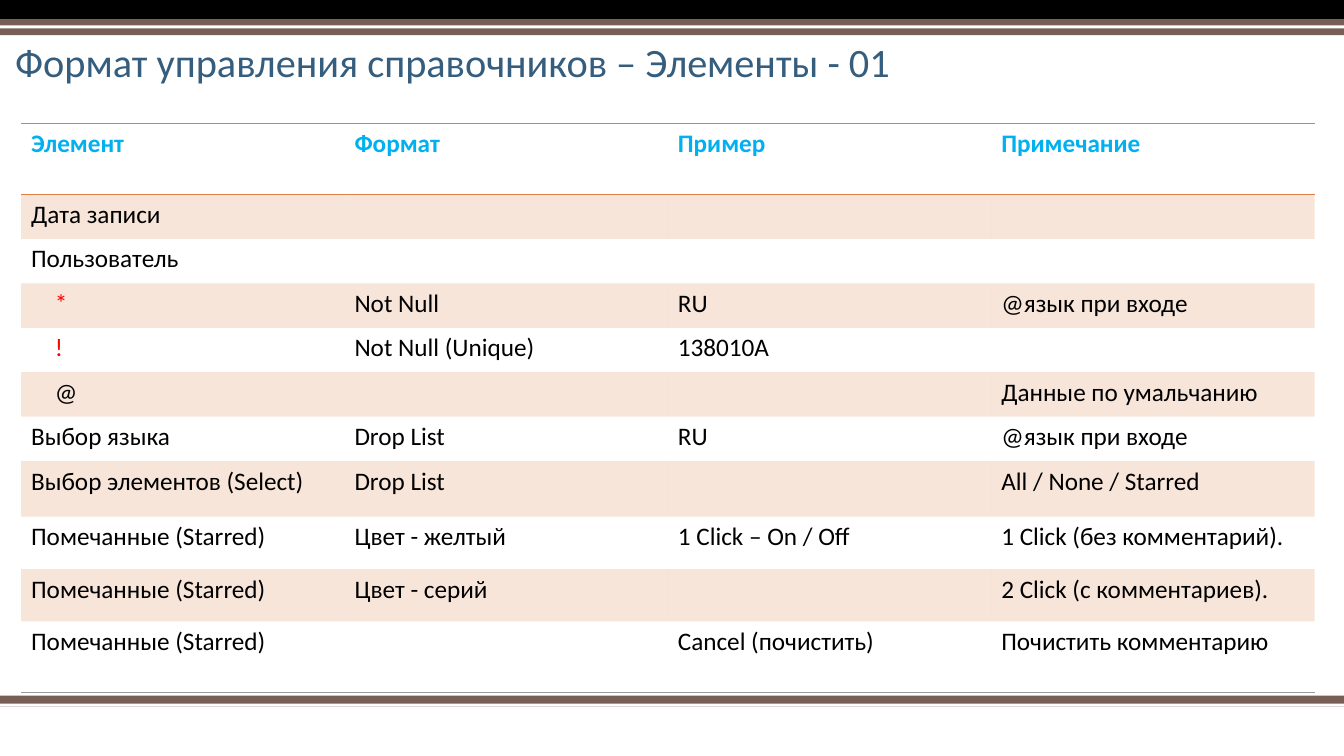
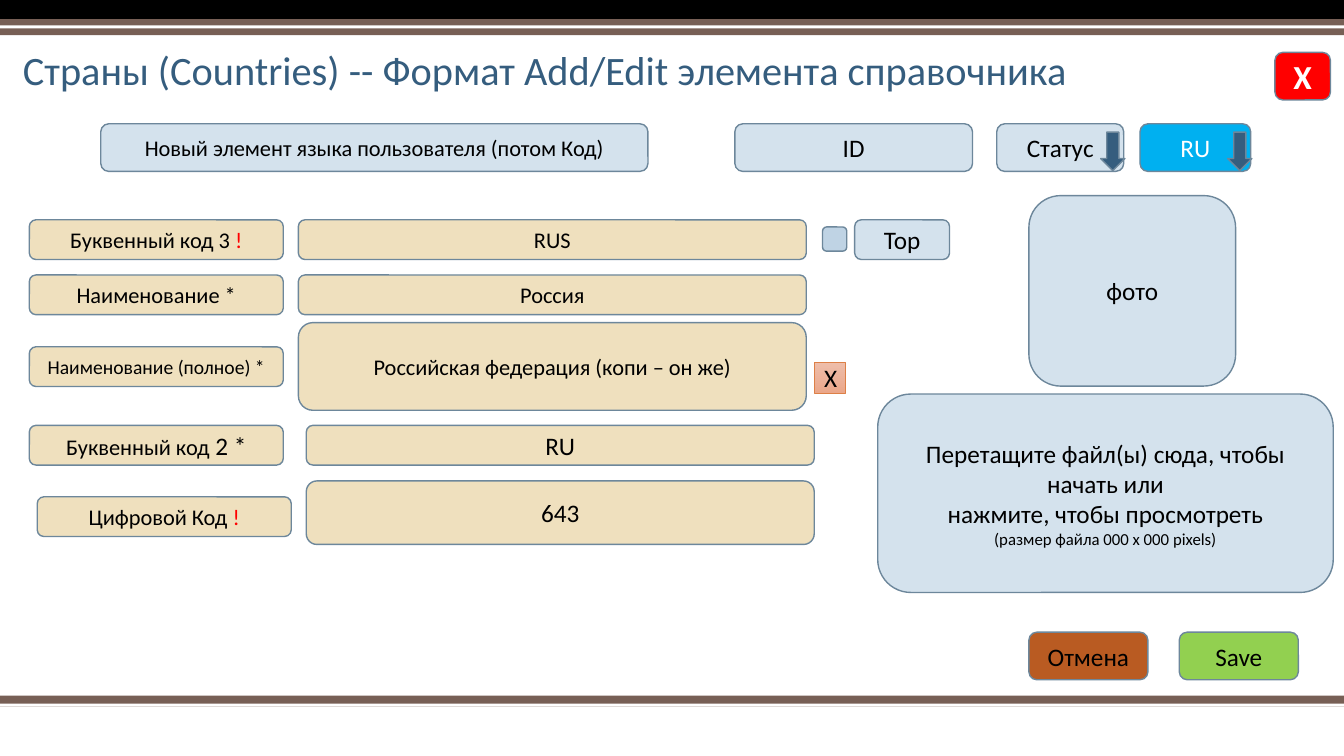
"""Build two slides on the format of reference book elements."""
from lxml import etree
from pptx import Presentation
from pptx.dml.color import RGBColor
from pptx.enum import shapes, text
from pptx.oxml import ns
from pptx.util import Cm, Pt

FONT = "Calibri"
COLORS = {
    "black": "000000", "white": "FFFFFF", "brown": "775F55", "title": "355D7E",
    "cyan": "00B0F0", "orange": "DD8047", "red": "FF0000", "rule": "999999",
    "outline": "6D879B", "pale": "D4E2ED", "check": "BFD3E4", "sand": "EFE0BE",
    "rust": "B95B22", "green": "92D050", "peach": "EEBEAA", "salmon": "EBA78A",
}
RGB = {name: RGBColor.from_string(value) for name, value in COLORS.items()}
KIND = shapes.MSO_SHAPE

deck = Presentation()
deck.slide_width, deck.slide_height = Cm(33.87), Cm(19.05)


def add_block(slide, kind, box, fill, line=None, lines=()):
    """Draw a shape; each line of its text is a list of (words, size, colour)."""
    block = slide.shapes.add_shape(kind, *map(Cm, box))
    block.shadow.inherit = False
    block.fill.solid()
    block.fill.fore_color.rgb = RGB[fill]
    if line:
        block.line.color.rgb = RGB[line]
        block.line.width = Pt(1)
    else:
        block.line.fill.background()
    frame = block.text_frame
    frame.word_wrap = True
    frame.vertical_anchor = text.MSO_ANCHOR.MIDDLE
    for index, pieces in enumerate(lines):
        paragraph = frame.add_paragraph() if index else frame.paragraphs[0]
        paragraph.alignment = text.PP_ALIGN.CENTER
        for words, size, color in pieces:
            run = paragraph.add_run()
            run.text = words
            run.font.name, run.font.size = FONT, Pt(size)
            run.font.color.rgb = RGB[color]
    return block


def start_slide(heading, box):
    """Add a slide with the shared bands and a title."""
    slide = deck.slides.add_slide(deck.slide_layouts[6])
    for top, height, color in [
        (17.53, 0.28, "brown"), (17.73, 0.08, "white"),
        (0, 0.48, "black"), (0.48, 0.41, "brown"), (0.64, 0.08, "white"),
    ]:
        add_block(slide, KIND.RECTANGLE, (0, top, 33.87, height), color)
    frame = slide.shapes.add_textbox(*map(Cm, box)).text_frame
    frame.word_wrap = True
    frame.vertical_anchor = text.MSO_ANCHOR.BOTTOM
    frame.text = heading
    paragraph = frame.paragraphs[0]
    paragraph.line_spacing = 0.9
    font = paragraph.runs[0].font
    font.name, font.size = FONT, Pt(28.8)
    font.color.rgb = RGB["title"]
    return slide


elements_slide = start_slide(
    "Формат управления справочников – Элементы - 01", (0.13, 0.91, 29.5, 1.4))

elements = [
    (1.78, "Элемент", "Формат", "Пример", "Примечание"),
    (1.12, "Дата записи", "", "", ""),
    (1.12, "Пользователь", "", "", ""),
    (1.12, "*", "Not Null", "RU", "@язык при входе"),
    (1.12, "!", "Not Null (Unique)", "138010A", ""),
    (1.12, "@", "", "", "Данные по умальчанию"),
    (1.12, "Выбор языка", "Drop List", "RU", "@язык при входе"),
    (1.4, "Выбор элементов (Select)", "Drop List", "", "All / None / Starred"),
    (1.32, "Помечанные (Starred)", "Цвет - желтый", "1 Сlick – On / Off",
     "1 Click (без комментарий)."),
    (1.32, "Помечанные (Starred)", "Цвет - серий", "", "2 Click (с комментариев)."),
    (1.78, "Помечанные (Starred)", "", "Cancel (почистить)", "Почистить комментарию"),
]
last = len(elements) - 1
grid = elements_slide.shapes.add_table(
    len(elements), 4, Cm(0.53), Cm(3.12), Cm(32.6), Cm(14.2)).table
grid._tbl.tblPr.find(ns.qn("a:tableStyleId")).text = "{2D5ABB26-0587-4C30-8999-92F81FD0307C}"
for column in grid.columns:
    column.width = Cm(8.15)

for row, (height, *entries) in enumerate(elements):
    grid.rows[row].height = Cm(height)
    borders = {0: [("lnT", "orange", 1), ("lnB", "orange", 1)],
               last: [("lnB", "rule", 0.5)]}.get(row, [])
    for column, entry in enumerate(entries):
        cell = grid.cell(row, column)
        properties = cell._tc.get_or_add_tcPr()
        for side, color, width in borders:
            edge = etree.SubElement(properties, ns.qn(f"a:{side}"), w=str(Pt(width)))
            paint = etree.SubElement(edge, ns.qn("a:solidFill"))
            etree.SubElement(paint, ns.qn("a:srgbClr"), val=COLORS[color])
        if row % 2:
            cell.fill.solid()
            cell.fill.fore_color.rgb = RGB["orange"]
            tint = properties.find(".//" + ns.qn("a:solidFill") + "/" + ns.qn("a:srgbClr"))
            etree.SubElement(tint, ns.qn("a:alpha"), val="20000")
        else:
            cell.fill.background()
        if entry in ("*", "!", "@"):
            cell.margin_left = Cm(0.85)
        cell.text_frame.text = entry
        font = cell.text_frame.paragraphs[0].font
        font.name, font.size, font.bold = FONT, Pt(18), row == 0
        font.color.rgb = RGB["cyan" if row == 0 else "red" if entry in ("*", "!") else "black"]

form_slide = start_slide(
    "Страны (Countries) -- Формат Add/Edit элемента справочника", (0.33, 0.91, 29.3, 1.6))

buttons = [
    ((2.54, 3.12, 13.79, 1.2), "pale", "Новый элемент языка пользователя (потом Код)", 16, "black"),
    ((18.52, 3.12, 5.99, 1.2), "pale", "ID", 18, "black"),
    ((25.12, 3.12, 3.2, 1.2), "pale", "Статус", 18, "black"),
    ((28.73, 3.12, 2.79, 1.2), "cyan", "RU", 18, "white"),
    ((21.54, 5.54, 2.39, 1), "pale", "Тор", 18, "black"),
    ((25.93, 4.93, 5.21, 4.8), "pale", "фото", 18, "black"),
    ((25.93, 15.93, 3, 1.2), "rust", "Отмена", 18, "black"),
    ((29.72, 15.93, 3, 1.2), "green", "Save", 18, "black"),
]
for box, fill, words, size, color in buttons:
    add_block(form_slide, KIND.ROUNDED_RECTANGLE, box, fill, "outline", [[(words, size, color)]])
    if words in ("Статус", "RU"):
        arrow_left = box[0] + box[2] - 0.58
        add_block(form_slide, KIND.DOWN_ARROW, (arrow_left, 3.33, 0.61, 0.97), "title", "outline")

fields = [
    ((0.74, 5.54), [("Буквенный код 3 ", 16, "black"), ("!", 16, "red")],
     (7.52, 5.54, 1), ("RUS", 16)),
    ((0.74, 6.93), [("Наименование *", 16, "black")], (7.52, 6.93, 1), ("Россия", 16)),
    ((0.74, 8.74), [("Наименование (полное) *", 14, "black")],
     (7.52, 8.13, 2.21), ("Российская федерация (копи – он же)", 16)),
    ((0.74, 10.72), [("Буквенный код", 16, "black"), (" 2 *", 18, "black")],
     (7.72, 10.72, 1), ("RU", 18)),
    ((0.94, 12.52), [("Цифровой Код ", 16, "black"), ("!", 16, "red")],
     (7.72, 12.12, 1.6), ("643", 18)),
]
for label_at, label, (left, top, height), (value, size) in fields:
    add_block(form_slide, KIND.ROUNDED_RECTANGLE, (*label_at, 6.4, 1), "sand", "outline", [label])
    add_block(form_slide, KIND.ROUNDED_RECTANGLE, (left, top, 12.8, height), "sand", "outline",
              [[(value, size, "black")]])

add_block(form_slide, KIND.ROUNDED_RECTANGLE, (20.73, 5.72, 0.61, 0.61), "check", "outline")

close = add_block(form_slide, KIND.ROUNDED_RECTANGLE, (32.13, 1.32, 1.4, 1.2), "red", "outline",
                  [[("Х", 24, "white")]])
close.text_frame.paragraphs[0].runs[0].font.bold = True

clear = add_block(form_slide, KIND.RECTANGLE, (20.52, 9.12, 0.79, 0.79), "peach", "orange",
                  [[("X", 18, "black")]])
clear.line.width = Pt(0.5)
clear.fill.gradient()
clear.fill.gradient_angle = 270
for stop, color in zip(clear.fill.gradient_stops, ("peach", "salmon")):
    stop.color.rgb = RGB[color]

add_block(form_slide, KIND.ROUNDED_RECTANGLE, (22.12, 9.93, 11.48, 5), "pale", "outline", [
    [("Перетащите файл(ы) сюда, чтобы начать или", 18, "black")],
    [("нажмите, чтобы просмотреть", 18, "black")],
    [("(размер файла 000 x 000 pixels)", 12, "black")],
])

deck.save("out.pptx")
